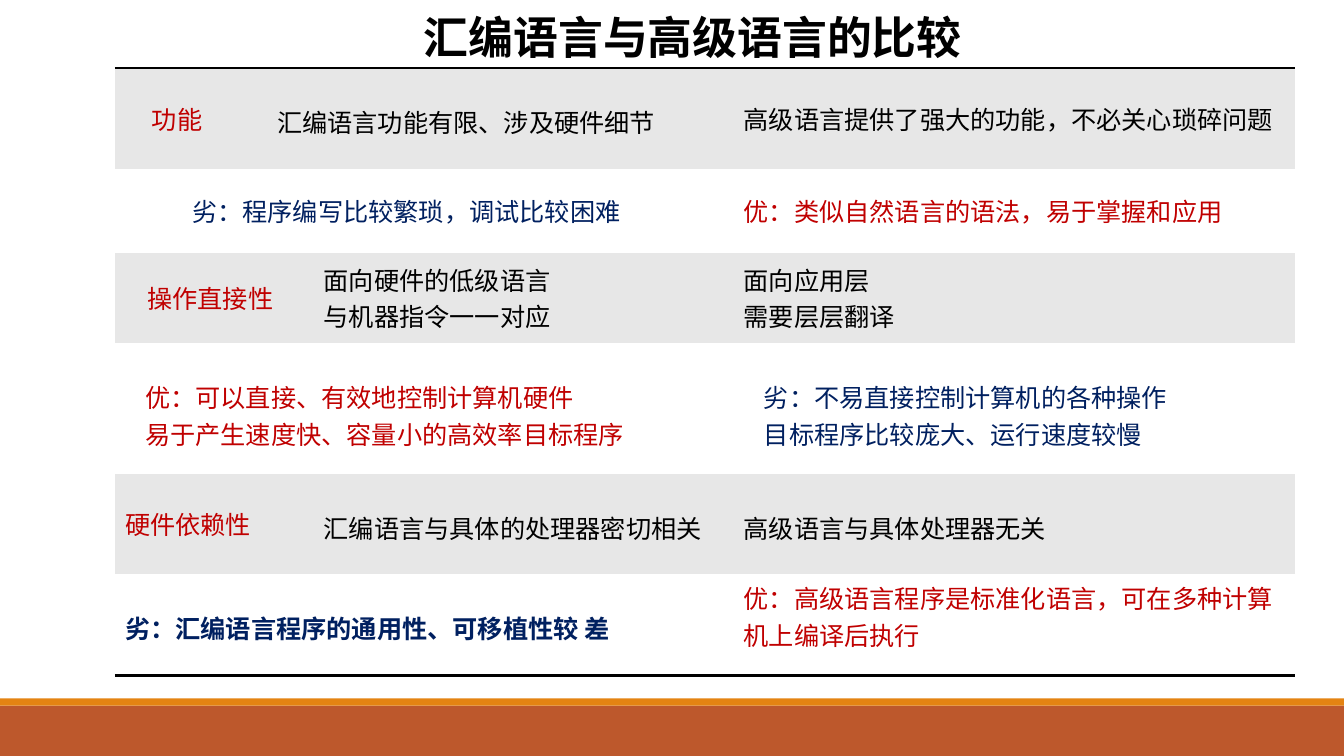
from dataclasses import dataclass

from lxml.etree import SubElement
from pptx import Presentation
from pptx.dml.color import RGBColor
from pptx.enum.shapes import MSO_SHAPE
from pptx.enum.text import MSO_ANCHOR, PP_ALIGN
from pptx.oxml.ns import qn
from pptx.util import Pt

BLACK = RGBColor(0x00, 0x00, 0x00)
RED = RGBColor(0xC0, 0x00, 0x00)
NAVY = RGBColor(0x00, 0x20, 0x60)
GRAY = RGBColor(0xE7, 0xE7, 0xE7)
WHITE = RGBColor(0xFF, 0xFF, 0xFF)
RUST = RGBColor(0xBD, 0x58, 0x2C)
ORANGE = RGBColor(0xE4, 0x83, 0x12)

FONT = "Calibri"
SLIDE_WIDTH, SLIDE_HEIGHT = 960, 540
TABLE_LEFT, TABLE_TOP = 82.1, 48.4
COLUMN_WIDTHS = [108.7, 17, 300, 400.7]
ROW_HEIGHTS = [72, 60, 64.3, 93.6, 72, 72]


@dataclass
class Entry:
    """Text of one cell, with the margins added to the usual ones."""
    row: int
    column: int
    lines: list
    color: RGBColor = BLACK
    span: int = 1
    indent: float = 0
    above: float = 0
    below: float = 0
    bold: bool = False


ENTRIES = [
    Entry(0, 0, ["功能"], RED, indent=19.3),
    Entry(0, 1, ["汇编语言功能有限、涉及硬件细节"], span=2, above=4.3),
    Entry(0, 3, ["高级语言提供了强大的功能，不必关心琐碎问题"]),
    Entry(1, 0, ["劣：程序编写比较繁琐，调试比较困难"], NAVY, span=3, indent=48),
    Entry(1, 3, ["优：类似自然语言的语法，易于掌握和应用"], RED),
    Entry(2, 0, ["操作直接性"], RED, span=2, indent=16),
    Entry(2, 2, ["面向硬件的低级语言", "与机器指令一一对应"]),
    Entry(2, 3, ["面向应用层", "需要层层翻译"]),
    Entry(3, 0, ["优：可以直接、有效地控制计算机硬件",
                 "易于产生速度快、容量小的高效率目标程序"],
          RED, span=3, indent=14.4, above=10),
    Entry(3, 3, ["劣：不易直接控制计算机的各种操作",
                 "目标程序比较庞大、运行速度较慢"],
          NAVY, indent=14.4, above=10),
    Entry(4, 0, ["硬件依赖性"], RED, span=2),
    Entry(4, 2, ["汇编语言与具体的处理器密切相关"], above=5.7),
    Entry(4, 3, ["高级语言与具体处理器无关"], above=5.7),
    Entry(5, 0, ["劣：汇编语言程序的通用性、可移植性较 差"],
          NAVY, span=3, above=4.3, bold=True),
    Entry(5, 3, ["优：高级语言程序是标准化语言，可在多种计算机上编译后执行"],
          RED, below=12.8),
]


def add_run(paragraph, text, size, color, bold=False):
    run = paragraph.add_run()
    run.text = text
    run.font.name = FONT
    run.font.size = Pt(size)
    run.font.bold = bold
    run.font.color.rgb = color


def add_bar(slide, top, height, color):
    bar = slide.shapes.add_shape(
        MSO_SHAPE.RECTANGLE, 0, Pt(top), Pt(SLIDE_WIDTH), Pt(height))
    bar.shadow.inherit = False
    bar.fill.solid()
    bar.fill.fore_color.rgb = color
    bar.line.fill.background()


def format_title(title, text):
    title.left, title.top = Pt(278.6), Pt(2.2)
    title.width, title.height = Pt(432.7), Pt(48)
    frame = title.text_frame
    frame.word_wrap = True
    frame.vertical_anchor = MSO_ANCHOR.MIDDLE
    paragraph = frame.paragraphs[0]
    paragraph.alignment = PP_ALIGN.CENTER
    add_run(paragraph, text, 32, BLACK, bold=True)


def set_borders(cell, ruled_side):
    """Rule one side in black, or none, and clear the others."""
    properties = cell._tc.get_or_add_tcPr()
    for side in ("lnL", "lnR", "lnT", "lnB"):
        border = SubElement(properties, qn(f"a:{side}"))
        if side == ruled_side:
            border.set("w", str(Pt(2)))
            fill = SubElement(border, qn("a:solidFill"))
            SubElement(fill, qn("a:srgbClr")).set("val", str(BLACK))
        else:
            SubElement(border, qn("a:noFill"))


def fill_cell(cell, entry):
    cell.vertical_anchor = MSO_ANCHOR.MIDDLE
    cell.margin_left = Pt(7.2 + entry.indent)
    cell.margin_top = Pt(3.6 + entry.above)
    cell.margin_bottom = Pt(3.6 + entry.below)
    frame = cell.text_frame
    for index, line in enumerate(entry.lines):
        paragraph = frame.add_paragraph() if index else frame.paragraphs[0]
        add_run(paragraph, line, 18, entry.color, entry.bold)


def add_comparison_table(slide):
    table = slide.shapes.add_table(
        len(ROW_HEIGHTS), len(COLUMN_WIDTHS), Pt(TABLE_LEFT), Pt(TABLE_TOP),
        Pt(sum(COLUMN_WIDTHS)), Pt(sum(ROW_HEIGHTS))).table
    table.first_row = False
    table.horz_banding = False
    for column, width in zip(table.columns, COLUMN_WIDTHS):
        column.width = Pt(width)
    ruled_sides = {0: "lnT", len(ROW_HEIGHTS) - 1: "lnB"}
    for index, (row, height) in enumerate(zip(table.rows, ROW_HEIGHTS)):
        row.height = Pt(height)
        for cell in row.cells:
            set_borders(cell, ruled_sides.get(index))
            cell.fill.solid()
            cell.fill.fore_color.rgb = WHITE if index % 2 else GRAY
    for entry in ENTRIES:
        cell = table.cell(entry.row, entry.column)
        if entry.span > 1:
            cell.merge(table.cell(entry.row, entry.column + entry.span - 1))
        fill_cell(cell, entry)


def main():
    presentation = Presentation()
    presentation.slide_width = Pt(SLIDE_WIDTH)
    presentation.slide_height = Pt(SLIDE_HEIGHT)
    slide = presentation.slides.add_slide(presentation.slide_layouts[5])
    add_bar(slide, 504, 36, RUST)
    add_bar(slide, 498.8, 5.2, ORANGE)
    format_title(slide.shapes.title, "汇编语言与高级语言的比较")
    add_comparison_table(slide)
    presentation.save("out.pptx")


if __name__ == "__main__":
    main()
